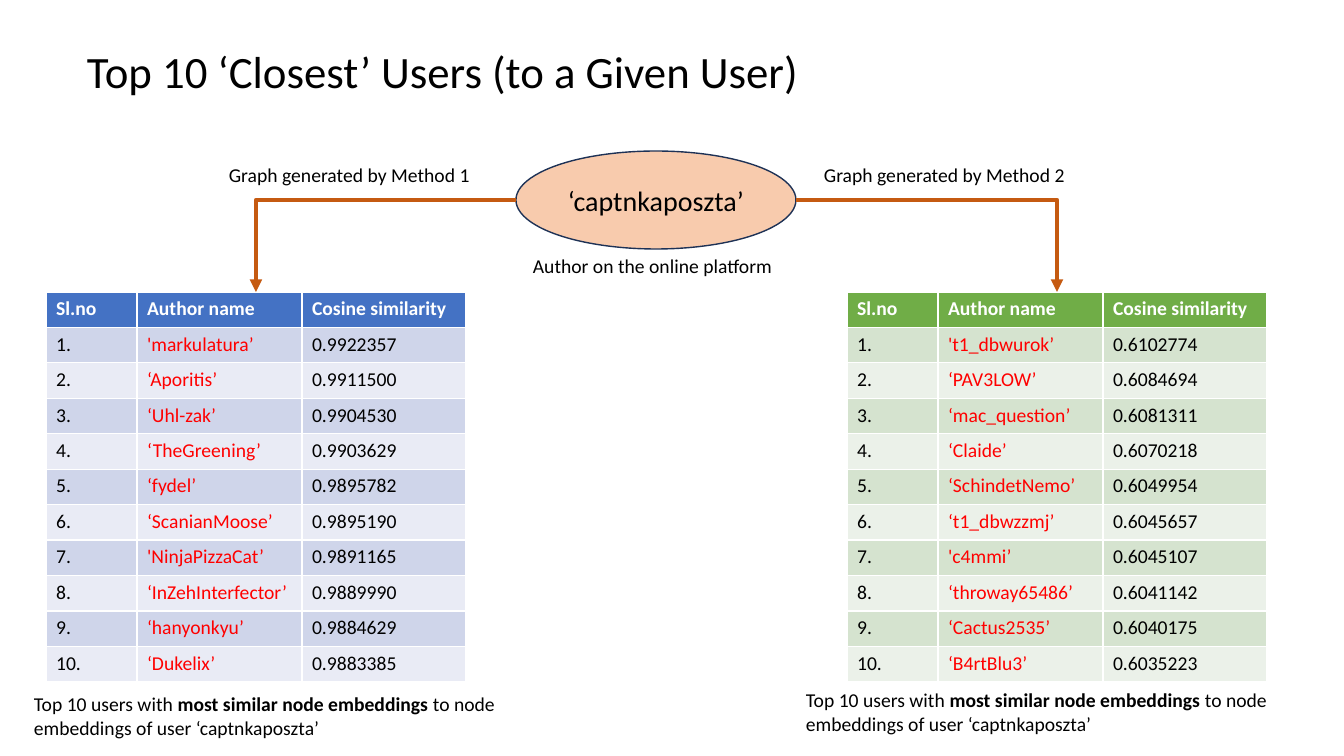
import pptx
import pptx.dml.color
import pptx.enum.shapes
import pptx.enum.text
import pptx.oxml.ns
import pptx.util
from lxml import etree

RGBColor = pptx.dml.color.RGBColor
BLACK = RGBColor(0x00, 0x00, 0x00)
WHITE = RGBColor(0xFF, 0xFF, 0xFF)
RED = RGBColor(0xFF, 0x00, 0x00)
PEACH = RGBColor(0xF8, 0xCB, 0xAD)
NAVY = RGBColor(0x1E, 0x32, 0x56)
ORANGE = RGBColor(0xC5, 0x5A, 0x11)
BLUES = (RGBColor(0x44, 0x72, 0xC4), RGBColor(0xCF, 0xD5, 0xEA), RGBColor(0xE9, 0xEB, 0xF5))
GREENS = (RGBColor(0x70, 0xAD, 0x47), RGBColor(0xD5, 0xE3, 0xCF), RGBColor(0xEB, 0xF1, 0xE9))

PIXEL = 914400 / 100.8
FONT = "Calibri"
ANCHOR = pptx.enum.text.MSO_ANCHOR
ALIGN = pptx.enum.text.PP_ALIGN

HEADINGS = ("Sl.no", "Author name", "Cosine similarity")
COLUMN_WIDTHS = (91, 165, 164)
CAPTION = (
    ("Top 10 users with ", False),
    ("most similar node embeddings ", True),
    ("to node embeddings of user ‘captnkaposzta’", False),
)
METHOD_1_USERS = (
    ("'markulatura’", "0.9922357"),
    ("‘Aporitis’", "0.9911500"),
    ("‘Uhl-zak’", "0.9904530"),
    ("‘TheGreening’", "0.9903629"),
    ("‘fydel’", "0.9895782"),
    ("‘ScanianMoose’", "0.9895190"),
    ("'NinjaPizzaCat’", "0.9891165"),
    ("‘InZehInterfector’", "0.9889990"),
    ("‘hanyonkyu’", "0.9884629"),
    ("‘Dukelix’", "0.9883385"),
)
METHOD_2_USERS = (
    ("'t1_dbwurok’", "0.6102774"),
    ("‘PAV3LOW’", "0.6084694"),
    ("‘mac_question’", "0.6081311"),
    ("‘Claide’", "0.6070218"),
    ("‘SchindetNemo’", "0.6049954"),
    ("‘t1_dbwzzmj’", "0.6045657"),
    ("'c4mmi’", "0.6045107"),
    ("‘throway65486’", "0.6041142"),
    ("‘Cactus2535’", "0.6040175"),
    ("‘B4rtBlu3’", "0.6035223"),
)


def emu(*pixels):
    return [pptx.util.Emu(round(pixel * PIXEL)) for pixel in pixels]


def write_text(frame, text, size=14, color=BLACK, bold=False, align=ALIGN.LEFT, spacing=None):
    paragraph = frame.paragraphs[0]
    paragraph.alignment = align
    paragraph.line_spacing = spacing
    pieces = ((text, bold),) if isinstance(text, str) else text
    for piece, piece_bold in pieces:
        run = paragraph.add_run()
        run.text = piece
        run.font.name = FONT
        run.font.size = pptx.util.Pt(size)
        run.font.color.rgb = color
        run.font.bold = piece_bold


def add_text(slide, box, text, wrap=True, anchor=ANCHOR.TOP, **text_format):
    frame = slide.shapes.add_textbox(*emu(*box)).text_frame
    frame.word_wrap = wrap
    frame.vertical_anchor = anchor
    write_text(frame, text, **text_format)


def add_user_table(slide, box, users, palette):
    rows = [HEADINGS]
    rows += [(f"{rank}.", *user) for rank, user in enumerate(users, 1)]
    table = slide.shapes.add_table(len(rows), len(HEADINGS), *emu(*box)).table
    for column, width in zip(table.columns, emu(*COLUMN_WIDTHS)):
        column.width = width
    for row_index, row in enumerate(rows):
        heading = row_index == 0
        fill = palette[0] if heading else palette[2 - row_index % 2]
        colors = (WHITE,) * 3 if heading else (BLACK, RED, BLACK)
        for column_index, text in enumerate(row):
            cell = table.cell(row_index, column_index)
            cell.fill.solid()
            cell.fill.fore_color.rgb = fill
            write_text(cell.text_frame, text, color=colors[column_index], bold=heading)


def add_bent_arrow(slide, start, end):
    kind = pptx.enum.shapes.MSO_CONNECTOR.ELBOW
    connector = slide.shapes.add_connector(kind, *emu(*start, *end))
    connector.line.color.rgb = ORANGE
    connector.line.width = pptx.util.Pt(3)
    properties = connector._element.spPr
    properties.find(pptx.oxml.ns.qn("a:prstGeom")).set("prst", "bentConnector2")
    tail = etree.SubElement(connector.line._get_or_add_ln(), pptx.oxml.ns.qn("a:tailEnd"))
    tail.set("type", "triangle")
    etree.SubElement(properties, pptx.oxml.ns.qn("a:effectLst"))


def add_given_user(slide, box):
    left, top, width, height = box
    oval = pptx.enum.shapes.MSO_SHAPE.OVAL
    ellipse = slide.shapes.add_shape(oval, *emu(*box))
    ellipse.shadow.inherit = False
    ellipse.fill.solid()
    ellipse.fill.fore_color.rgb = PEACH
    ellipse.line.color.rgb = NAVY
    ellipse.line.width = pptx.util.Pt(1)
    ellipse.text_frame.vertical_anchor = ANCHOR.MIDDLE
    write_text(ellipse.text_frame, "‘captnkaposzta’", size=20, align=ALIGN.CENTER)
    add_text(slide, (left + 7, top + height, 265, 34), "Author on the online platform", wrap=False)


def add_method(slide, box, label, label_left, arrow_start, users, palette, caption_offset):
    left, top, width, height = box
    add_user_table(slide, box, users, palette)
    add_bent_arrow(slide, arrow_start, (left + width // 2, top))
    add_text(slide, (label_left, top - 134, 264, 34), label, wrap=False)
    caption_left, caption_gap = caption_offset
    add_text(slide, (left + caption_left, top + height + caption_gap, 564, 57), CAPTION)


def build_slide(slide):
    add_text(slide, (77, 20, 1159, 108), "Top 10 ‘Closest’ Users (to a Given User)",
             anchor=ANCHOR.MIDDLE, size=32, spacing=0.9)
    add_given_user(slide, (516, 151, 280, 98))
    add_method(slide, (46, 292, 420, 390), "Graph generated by Method 1", 219,
               (516, 200), METHOD_1_USERS, BLUES, (-22, 5))
    add_method(slide, (847, 292, 420, 390), "Graph generated by Method 2", 814,
               (796, 200), METHOD_2_USERS, GREENS, (-51, 1))


presentation = pptx.Presentation()
presentation.slide_width, presentation.slide_height = emu(1344, 756)
build_slide(presentation.slides.add_slide(presentation.slide_layouts[6]))
presentation.save("out.pptx")
